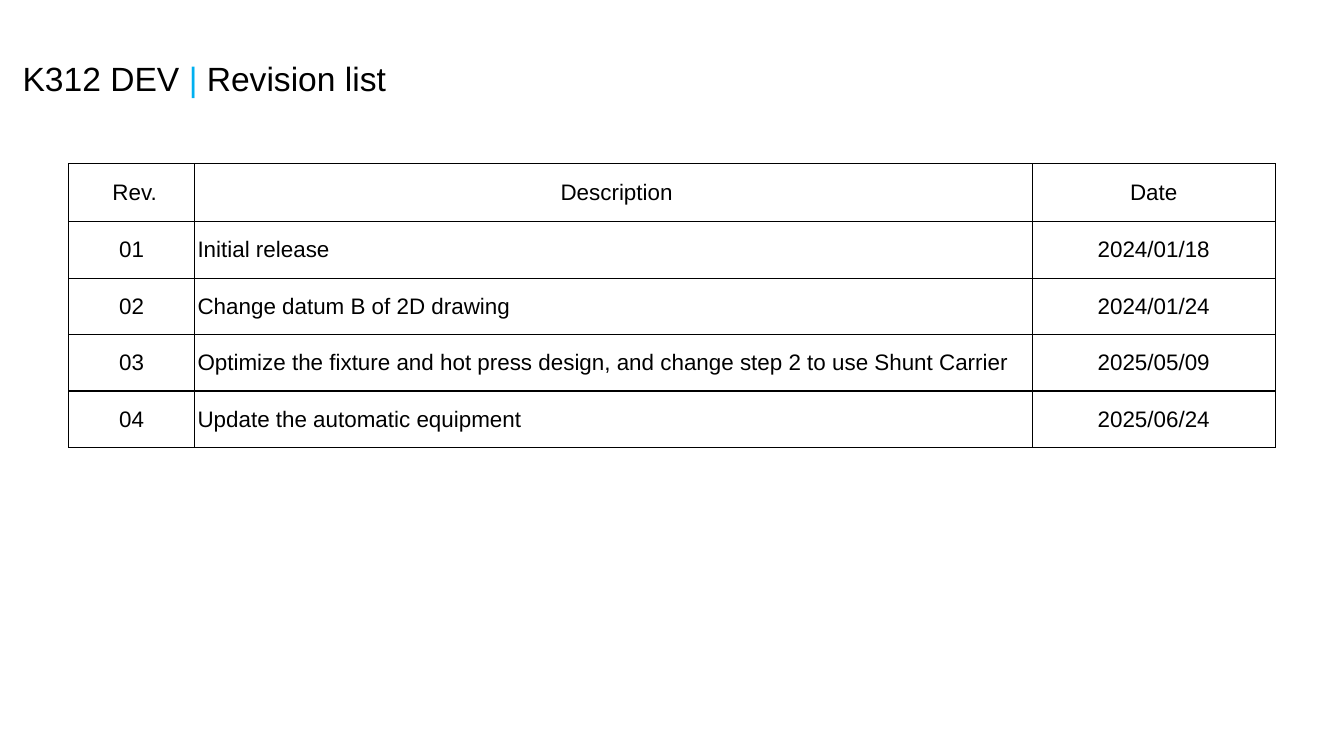
from lxml import etree
from pptx import Presentation
from pptx.dml.color import RGBColor
from pptx.enum.text import MSO_ANCHOR as Anchor, PP_ALIGN as Align
from pptx.oxml.ns import qn
from pptx.util import Inches, Pt

# Content
TITLE = [("K312 DEV ", "text"), ("|", "accent"), (" Revision list", "text")]
REVISIONS = [
    (" Rev.", " Description", "Date"),
    ("01", "Initial release", "2024/01/18"),
    ("02", "Change datum B of 2D drawing", "2024/01/24"),
    ("03", "Optimize the fixture and hot press design, and change step 2 to use Shunt Carrier",
     "2025/05/09"),
    ("04", "Update the automatic equipment", "2025/06/24"),
]

# Style
COLORS = {"text": "000000", "accent": "00B0F0", "border": "000000"}
FONT = "Arial"
COL_WIDTHS = [2.5, 16.63, 4.81]
ROW_HEIGHTS = [1.16] + [1.12] * (len(REVISIONS) - 1)


def style_run(r, size, color):
    r.font.name = FONT
    r.font.size = Pt(size)
    r.font.color.rgb = RGBColor.from_string(COLORS[color])


def set_margins(target, inches):
    for side in ("left", "right", "top", "bottom"):
        setattr(target, f"margin_{side}", Inches(inches))


def set_borders(cell, widths):
    """Draw the four cell borders; widths are points in L, R, T, B order."""
    tc_pr = cell._tc.get_or_add_tcPr()
    for i, (side, width) in enumerate(zip("LRTB", widths)):
        ln = etree.Element(qn(f"a:ln{side}"), w=str(Pt(width)))
        fill = etree.SubElement(ln, qn("a:solidFill"))
        etree.SubElement(fill, qn("a:srgbClr"), val=COLORS["border"])
        tc_pr.insert(i, ln)


prs = Presentation()
prs.slide_width, prs.slide_height = Inches(26.67), Inches(15)
s = prs.slides.add_slide(prs.slide_layouts[6])

# Title
tf = s.shapes.add_textbox(Inches(0.35), Inches(1.04), Inches(10.33), Inches(1.01)).text_frame
tf.word_wrap = True
set_margins(tf, 0.1)
for text, color in TITLE:
    r = tf.paragraphs[0].add_run()
    r.text = text
    style_run(r, 48, color)

# Revision table
table = s.shapes.add_table(
    len(REVISIONS), len(COL_WIDTHS), Inches(1.36), Inches(3.24),
    Inches(sum(COL_WIDTHS)), Inches(sum(ROW_HEIGHTS))).table
table.first_row = table.horz_banding = False
for column, width in zip(table.columns, COL_WIDTHS):
    column.width = Inches(width)
for row, height in zip(table.rows, ROW_HEIGHTS):
    row.height = Inches(height)

last_col = len(COL_WIDTHS) - 1
for i, revision in enumerate(REVISIONS):
    for j, text in enumerate(revision):
        is_header, is_date = i == 0, j == last_col
        cell = table.cell(i, j)
        cell.fill.background()
        cell.vertical_anchor = Anchor.MIDDLE
        set_margins(cell, 0.04 if is_header or is_date else 0.06)
        # Outer left, right and top edges are thinner than the other rules
        set_borders(cell, (1 if j == 0 else 2, 1 if is_date else 2, 1 if is_header else 2, 2))
        p = cell.text_frame.paragraphs[0]
        p.text = text
        p.alignment = Align.LEFT if j == 1 and not is_header else Align.CENTER
        style_run(p.runs[0], 32, "text")

prs.save("out.pptx")
